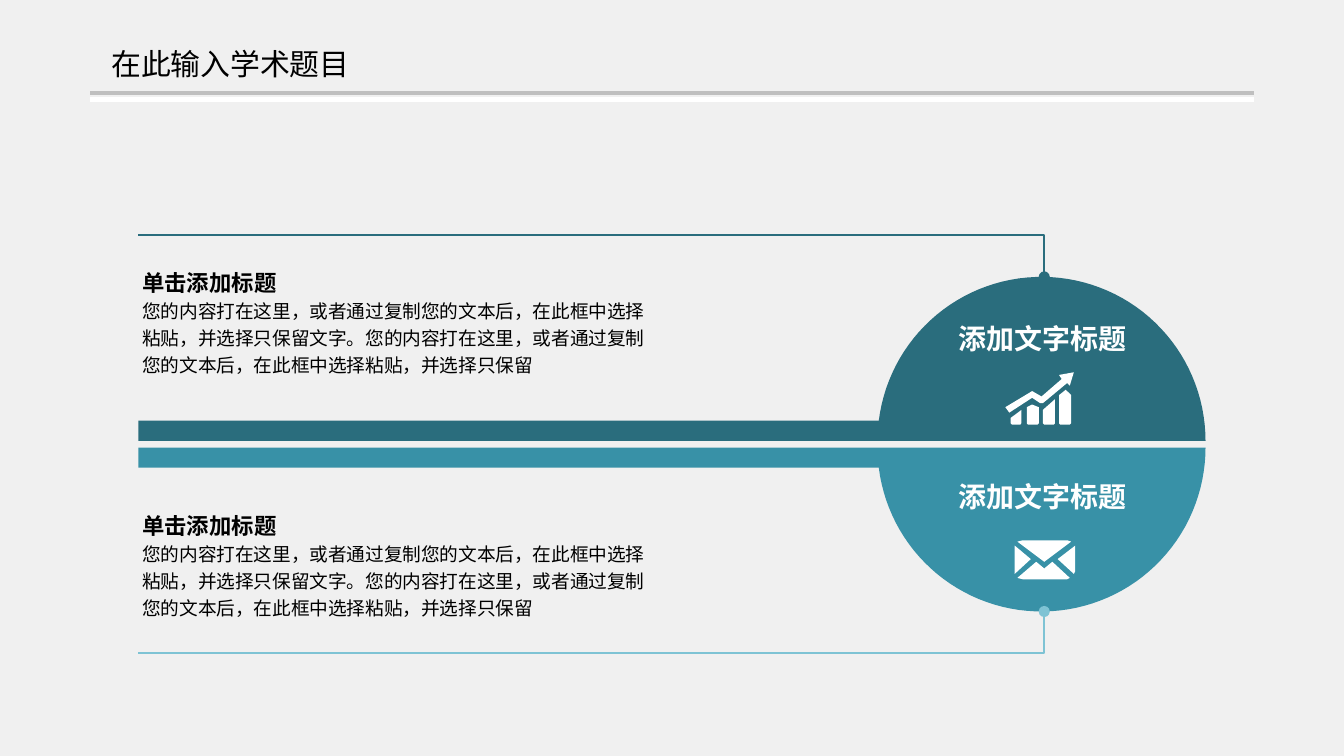
from math import asin, cos, pi, sin

from lxml import etree
from pptx import Presentation
from pptx.dml.color import RGBColor
from pptx.enum.shapes import MSO_CONNECTOR
from pptx.enum.text import MSO_ANCHOR, MSO_AUTO_SIZE, PP_ALIGN
from pptx.oxml.ns import qn
from pptx.util import Inches, Pt

STRAIGHT = MSO_CONNECTOR.STRAIGHT
MIDDLE = MSO_ANCHOR.MIDDLE
CENTER, LEFT = PP_ALIGN.CENTER, PP_ALIGN.LEFT
GROW = MSO_AUTO_SIZE.SHAPE_TO_FIT_TEXT
CJK = "Noto Sans CJK SC"

HEADING = "单击添加标题"
BODY = "您的内容打在这里，或者通过复制您的文本后，在此框中选择粘贴，并选择只保留文字。您的内容打在这里，或者通过复制您的文本后，在此框中选择粘贴，并选择只保留"

ARROW = [(0, 0.26), (0.2, 0.14), (0.27, 0.18), (0.42, 0.05), (0.4, 0.02), (0.51, 0),
         (0.48, 0.1), (0.46, 0.08), (0.28, 0.23), (0.26, 0.23), (0.2, 0.19), (0.03, 0.3)]
BAR_TOPS = [[(0, 0.34), (0.08, 0.28)],
            [(0, 0.26), (0.04, 0.24), (0.09, 0.26)],
            [(0, 0.28), (0.09, 0.2)],
            [(0, 0.17), (0.05, 0.13), (0.09, 0.17)]]
BARS = [[(0.04 + 0.12 * i + x, y) for x, y in top]
        + [(0.04 + 0.12 * i + x, y) for x, y in
           [(top[-1][0], 0.38), (top[-1][0] - 0.01, 0.39), (0.01, 0.39), (0, 0.38)]]
        for i, top in enumerate(BAR_TOPS)]
CHART_ICON = [ARROW] + BARS
MAIL_ICON = [
    [(0.06, 0), (0.39, 0), (0.42, 0.01), (0.22, 0.16), (0.02, 0.01)],
    [(0.45, 0.04), (0.32, 0.14), (0.44, 0.25), (0.45, 0.23)],
    [(0.41, 0.28), (0.39, 0.29), (0.06, 0.29), (0.02, 0.28), (0.16, 0.16),
     (0.22, 0.21), (0.28, 0.16)],
    [(0, 0.25), (0.12, 0.14), (0, 0.04)],
]


def rgb(color):
    """Turn a hex string into a colour."""
    return RGBColor.from_string(color)


def style(p, size, color, font=CJK, bold=False, align=LEFT):
    """Format a whole paragraph."""
    p.alignment = align
    f = p.font
    f.size, f.bold, f.name = Pt(size), bold, font
    f.color.rgb = rgb(color)
    etree.SubElement(p._p.pPr.find(qn("a:defRPr")), qn("a:ea"), typeface=CJK)


def outline(s, x, y, paths, close=True):
    """Draw point lists, given in inches from (x, y), as one freeform."""
    points = [[(Inches(x + px), Inches(y + py)) for px, py in path] for path in paths]
    builder = s.shapes.build_freeform(*points[0][0])
    builder.add_line_segments(points[0][1:], close=close)
    for path in points[1:]:
        builder.move_to(*path[0])
        builder.add_line_segments(path[1:], close=close)
    shape = builder.convert_to_shape()
    shape.shadow.inherit = False
    return shape


def solid(s, x, y, paths, color):
    """Draw a filled outline without a border."""
    shape = outline(s, x, y, paths)
    shape.fill.solid()
    shape.fill.fore_color.rgb = rgb(color)
    shape.line.fill.background()


def leader(s, x, y, points, color):
    """Draw a bent line that ends in a dot."""
    shape = outline(s, x, y, [points], close=False)
    shape.fill.background()
    shape.line.color.rgb = rgb(color)
    shape.line.width = Pt(1)
    etree.SubElement(shape.line._get_or_add_ln(), qn("a:tailEnd"), type="oval")


def textbox(s, x, y, w, h, wrap=True):
    """Add a text box that grows with its text."""
    tf = s.shapes.add_textbox(Inches(x), Inches(y), Inches(w), Inches(h)).text_frame
    tf.word_wrap = wrap
    tf.auto_size = GROW
    return tf


def note(s, x, y, w, h):
    """Write a heading with its explanation."""
    tf = textbox(s, x, y, w, h)
    tf.text = f"{HEADING}\n{BODY}"
    head, body = tf.paragraphs
    head.line_spacing = body.line_spacing = 1.2
    style(head, 12, "000000", "Arial", True)
    style(body, 10, "000000")


def label(s, x, y, w, h):
    """Write the white label inside a half disc."""
    tf = textbox(s, x, y, w, h, wrap=False)
    tf.margin_left = tf.margin_right = tf.margin_top = tf.margin_bottom = 0
    tf.text = "添加文字标题"
    style(tf.paragraphs[0], 15, "FFFFFF", bold=True)


def half(s, x, base, side, fill, line, note_y, label_y, icon, icon_x, icon_y):
    """Build one half disc with its bar, leader, note, label and icon."""
    radius, bar, mid = 1.22, 0.15, 6.72
    start = asin(bar / radius)
    angles = [start + (pi - start) * i / 60 for i in range(61)]
    arc = [(mid - radius * cos(a), side * radius * sin(a)) for a in angles]
    solid(s, x, base, [[(0, 0), (0, side * bar)] + arc], fill)
    leader(s, x, base, [(0, side * 1.53), (6.74, side * 1.53), (6.74, side * radius)], line)
    label(s, x + 6.1, base + label_y, 1.26, 0.25)
    note(s, x - 0.07, base + note_y, 4.01, 0.95)
    solid(s, x + icon_x, base + icon_y, icon, "FFFFFF")


def header(s, x, y, w):
    """Place the title and the double rule below it."""
    for dy, color in ((0, "BFBFBF"), (0.05, "FFFFFF")):
        rule = s.shapes.add_connector(STRAIGHT, Inches(x), Inches(y + dy),
                                      Inches(x + w), Inches(y + dy))
        rule.line.color.rgb = rgb(color)
        rule.line.width = Pt(2.25)
        etree.SubElement(rule._element.spPr, qn("a:effectLst"))
    title = s.shapes.title
    title.left, title.top = Inches(x - 0.03), Inches(y - 0.69)
    title.width, title.height = Inches(2.15), Inches(0.94)
    tf = title.text_frame
    tf.text = "在此输入学术题目"
    tf.vertical_anchor = MIDDLE
    tf.word_wrap = True
    style(tf.paragraphs[0], 16, "000000", "Montserrat", align=CENTER)


def main():
    """Build and save the slide."""
    prs = Presentation()
    prs.slide_width = Inches(10)
    prs.slide_height = prs.slide_width * 9 // 16
    s = prs.slides.add_slide(prs.slide_layouts[5])
    s.background.fill.solid()
    s.background.fill.fore_color.rgb = rgb("F0F0F0")
    header(s, 0.67, 0.69, 8.66)
    half(s, 1.03, 3.28, -1, "2A6D7D", "2A6D7D", -1.37, -0.89, CHART_ICON, 6.45, -0.51)
    half(s, 1.03, 3.33, 1, "3891A7", "7EC3D4", 0.39, 0.24, MAIL_ICON, 6.52, 0.69)
    prs.save("out.pptx")


if __name__ == "__main__":
    main()
